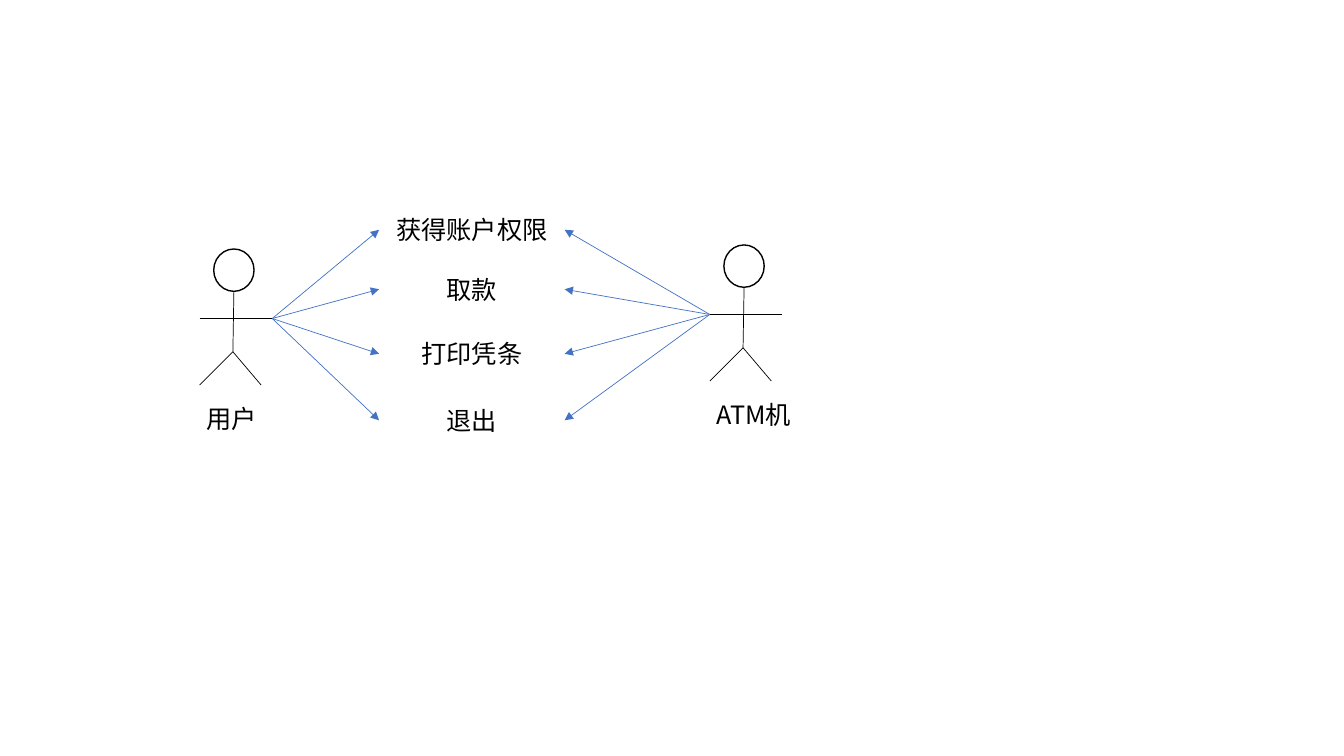
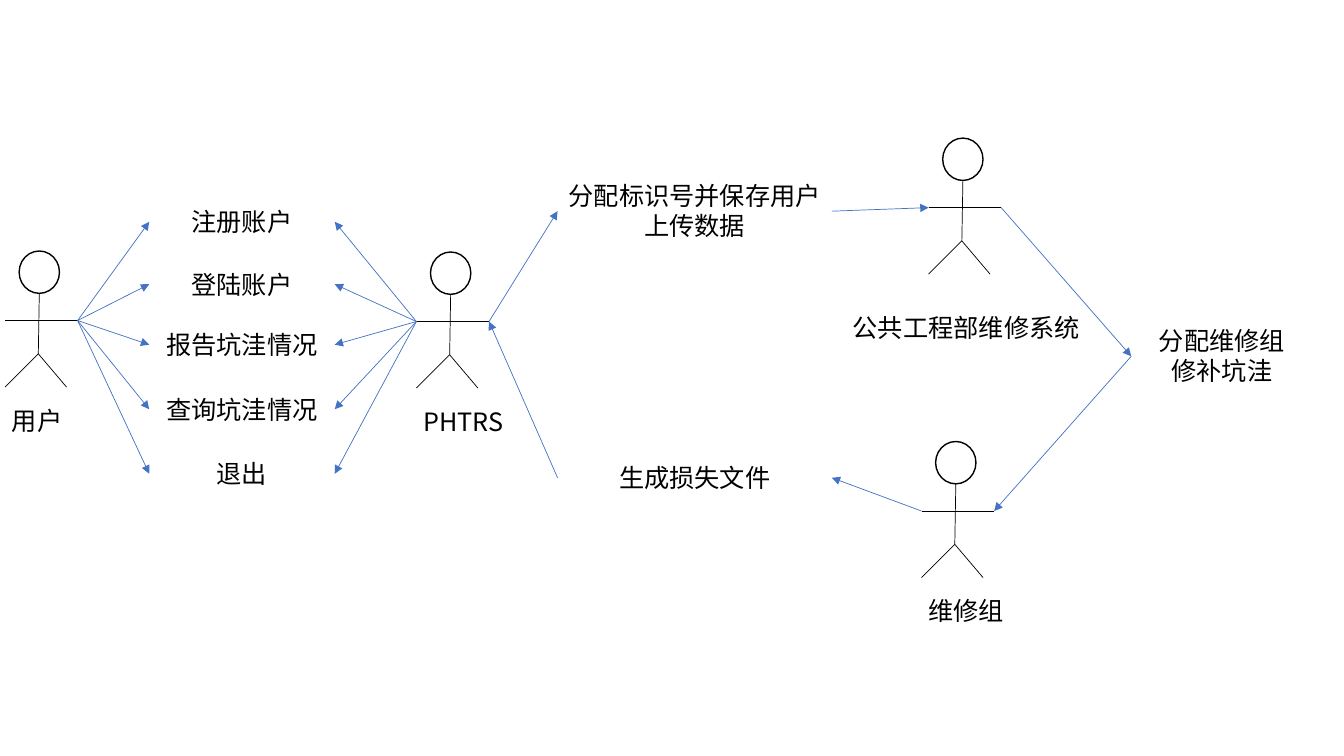
import dataclasses

import pptx
import pptx.dml.color
import pptx.enum.shapes
import pptx.enum.text
import pptx.oxml
import pptx.oxml.ns
import pptx.util

ALIGN = pptx.enum.text.PP_ALIGN
LEFT, RIGHT = 1, 3  # connection sites of a rectangle


def rgb(value):
    return pptx.dml.color.RGBColor.from_string(value)


@dataclasses.dataclass(frozen=True)
class Theme:
    ink: object = rgb("000000")
    paper: object = rgb("FFFFFF")
    accent: object = rgb("4472C4")
    font: str = "Noto Sans CJK SC"
    size: object = pptx.util.Pt(18)
    leading: object = pptx.util.Pt(21.6)
    thin: object = pptx.util.Pt(0.5)
    outline: object = pptx.util.Pt(1)
    row: float = 0.4
    arm_span: float = 0.72


THEME = Theme()


def grid(*units):
    """Turn columns and rows of the one-inch grid into slide lengths."""
    return [pptx.util.Inches(u) for u in units]


def add_text(s, x, y, w, text, align=ALIGN.CENTER, h=THEME.row):
    box = s.shapes.add_textbox(*grid(x, y, w, h))
    tf = box.text_frame
    tf.word_wrap = True
    tf.text = text
    for p in tf.paragraphs:
        p.alignment = align
        p.line_spacing = THEME.leading
        p.font.name = THEME.font
        p.font.size = THEME.size
        p.font.color.rgb = THEME.ink
    return box


def add_line(s, start, end, color=THEME.ink):
    """Draw a line; each end is a grid point or a (shape, site) pair."""
    ends = [(0, 0) if hasattr(e[0], "shape_id") else e for e in (start, end)]
    line = s.shapes.add_connector(
        pptx.enum.shapes.MSO_CONNECTOR.STRAIGHT, *grid(*ends[0], *ends[1]))
    for e, join in ((start, line.begin_connect), (end, line.end_connect)):
        if hasattr(e[0], "shape_id"):
            join(*e)
    line.line.color.rgb = color
    line.line.width = THEME.thin
    line._element.spPr.append(pptx.oxml.parse_xml(
        f"<a:effectLst {pptx.oxml.ns.nsdecls('a')}/>"))
    return line


def add_arrow(s, start, end):
    arrow = add_line(s, start, end, THEME.accent)
    arrow.line._get_or_add_ln().append(pptx.oxml.parse_xml(
        f'<a:tailEnd {pptx.oxml.ns.nsdecls("a")} type="triangle"/>'))


def add_actor(s, x, y, name, label=(-0.03, 0.79, 1.1)):
    """Draw a stick figure from its left hand at (x, y); return both hands."""
    hands = (x, y), (x + THEME.arm_span, y)
    neck, hip = (x + 0.34, y - 0.27), (x + 0.33, y + 0.33)
    head = s.shapes.add_shape(pptx.enum.shapes.MSO_SHAPE.OVAL,
                              *grid(x + 0.14, y - 0.69, 0.4, 0.42))
    head.shadow.inherit = False
    head.fill.solid()
    head.fill.fore_color.rgb = THEME.paper
    head.line.color.rgb = THEME.ink
    head.line.width = THEME.outline
    add_line(s, *hands)
    add_line(s, neck, hip)
    for foot_x in (x + 0.61, x):
        add_line(s, hip, (foot_x, y + 0.66))
    dx, dy, w = label
    add_text(s, x + dx, y + dy, w, name, ALIGN.LEFT)
    return hands


def add_shared_cases(s, x, cases, left_hand, right_hand):
    """Stack use cases, each reached by the actors on both sides."""
    for y, text in cases:
        case = add_text(s, x, y, 1.84, text)
        add_arrow(s, left_hand, (case, LEFT))
        add_arrow(s, right_hand, (case, RIGHT))


def atm_slide(s):
    _, user = add_actor(s, 1.98, 3.16, "用户")
    atm, _ = add_actor(s, 7.04, 3.12, "ATM机")
    add_shared_cases(s, 3.76, [(2.08, "获得账户权限"), (2.67, "取款"),
                               (3.31, "打印凭条"), (3.97, "退出")], user, atm)


def pothole_slide(s):
    _, user = add_actor(s, 0.05, 3.18, "用户")
    tracker_in, tracker_out = add_actor(s, 4.13, 3.19, "PHTRS")
    works_in, works_out = add_actor(s, 9.21, 2.06, "公共工程部维修系统",
                                    (-0.85, 0.99, 2.56))
    crew_out, crew_in = add_actor(s, 9.14, 5.07, "维修组")
    add_shared_cases(s, 1.48, [(2.0, "注册账户"), (2.62, "登陆账户"),
                               (3.22, "报告坑洼情况"), (3.86, "查询坑洼情况"),
                               (4.5, "退出")], user, tracker_in)
    record = add_text(s, 5.53, 1.74, 2.72, "分配标识号并保存用户上传数据", h=0.71)
    damage = add_text(s, 5.53, 4.54, 2.72, "生成损失文件")
    repair = add_text(s, 11.22, 3.18, 1.8, "分配维修组\n修补坑洼", h=0.71)
    for start, end in [(tracker_out, (record, LEFT)),
                       ((record, RIGHT), works_in),
                       (works_out, (repair, LEFT)),
                       ((repair, LEFT), crew_in),
                       (crew_out, (damage, RIGHT)),
                       ((damage, LEFT), tracker_out)]:
        add_arrow(s, start, end)


def main():
    prs = pptx.Presentation()
    prs.slide_width, prs.slide_height = grid(13.33, 7.5)
    for build in (atm_slide, pothole_slide):
        build(prs.slides.add_slide(prs.slide_layouts[6]))
    prs.save("out.pptx")


if __name__ == "__main__":
    main()
